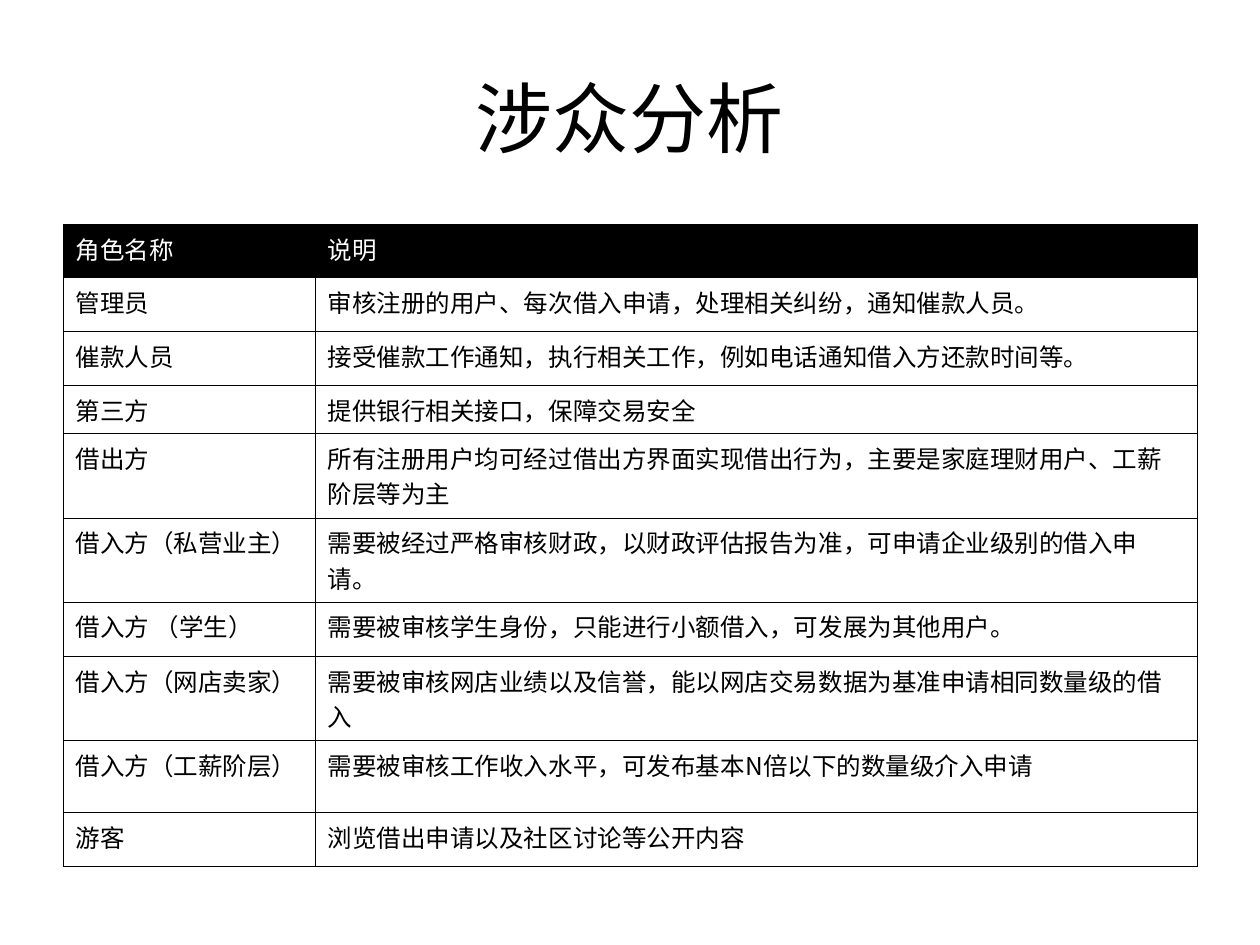
"""Build a stakeholder analysis slide with a title and a table of roles."""
from dataclasses import dataclass

from lxml.etree import SubElement
from pptx import Presentation
from pptx.dml.color import RGBColor
from pptx.enum.text import MSO_ANCHOR as Anchor, PP_ALIGN as Align
from pptx.oxml.ns import qn
from pptx.util import Inches, Pt

TITLE = "涉众分析"
HEADER = ("角色名称", "说明")
SINGLE, DOUBLE = 0.43, 0.67
ROLES = [
    ("管理员", "审核注册的用户、每次借入申请，处理相关纠纷，通知催款人员。", SINGLE),
    ("催款人员", "接受催款工作通知，执行相关工作，例如电话通知借入方还款时间等。", SINGLE),
    ("第三方", "提供银行相关接口，保障交易安全", 0.38),
    ("借出方", "所有注册用户均可经过借出方界面实现借出行为，主要是家庭理财用户、工薪阶层等为主", DOUBLE),
    ("借入方（私营业主）", "需要被经过严格审核财政，以财政评估报告为准，可申请企业级别的借入申请。", DOUBLE),
    ("借入方 （学生）", "需要被审核学生身份，只能进行小额借入，可发展为其他用户。", SINGLE),
    ("借入方（网店卖家）", "需要被审核网店业绩以及信誉，能以网店交易数据为基准申请相同数量级的借入", DOUBLE),
    ("借入方（工薪阶层）", "需要被审核工作收入水平，可发布基本N倍以下的数量级介入申请", 0.57),
    ("游客", "浏览借出申请以及社区讨论等公开内容", SINGLE),
]
HEADER_HEIGHT = 0.42
SLIDE_WIDTH, SLIDE_HEIGHT = 10, 7.5
MARGIN = SLIDE_WIDTH * 0.05
CONTENT_WIDTH = SLIDE_WIDTH - 2 * MARGIN
TITLE_TOP, TITLE_HEIGHT = SLIDE_HEIGHT * 0.04, 1.25
TABLE_TOP = 1.78
ROLE_WIDTH = SLIDE_WIDTH * 0.2


@dataclass(frozen=True)
class Theme:
    ink: str = "000000"
    paper: str = "FFFFFF"
    title_font: str = "Arial"
    body_font: str = "Noto Sans CJK SC"
    title_size: float = 44
    body_size: float = 14
    space_before: float = 3.5
    border: float = 0.23


THEME = Theme()


def write_text(frame, text, *, size=THEME.body_size, font=THEME.body_font,
               color=THEME.ink, align=Align.LEFT, before=0):
    paragraph = frame.paragraphs[0]
    paragraph.alignment = align
    paragraph.space_before = Pt(before)
    paragraph._p.get_or_add_pPr().set("hangingPunct", "0")
    run = paragraph.add_run()
    run.text = text
    run.font.size = Pt(size)
    run.font.color.rgb = RGBColor.from_string(color)
    run.font.name = font
    SubElement(run.font._element, qn("a:ea"), typeface=THEME.body_font)


def add_borders(cell):
    properties = cell._tc.get_or_add_tcPr()
    for side in ("lnL", "lnR", "lnT", "lnB"):
        line = SubElement(properties, qn(f"a:{side}"), w=str(int(Pt(THEME.border))))
        fill = SubElement(line, qn("a:solidFill"))
        SubElement(fill, qn("a:srgbClr"), val=THEME.ink)


def add_title(slide):
    box = slide.shapes.add_textbox(Inches(MARGIN), Inches(TITLE_TOP),
                                   Inches(CONTENT_WIDTH), Inches(TITLE_HEIGHT))
    box.text_frame.word_wrap = True
    box.text_frame.vertical_anchor = Anchor.MIDDLE
    write_text(box.text_frame, TITLE, size=THEME.title_size,
               font=THEME.title_font, align=Align.CENTER)


def add_role_table(slide):
    rows = [(*HEADER, HEADER_HEIGHT), *ROLES]
    total_height = sum(height for *_, height in rows)
    table = slide.shapes.add_table(len(rows), len(HEADER), Inches(MARGIN), Inches(TABLE_TOP),
                                   Inches(CONTENT_WIDTH), Inches(total_height)).table
    table.horz_banding = False
    table.columns[0].width = Inches(ROLE_WIDTH)
    table.columns[1].width = Inches(CONTENT_WIDTH - ROLE_WIDTH)
    for row_index, (*texts, height) in enumerate(rows):
        is_header = row_index == 0
        table.rows[row_index].height = Inches(height)
        for cell, text in zip(table.rows[row_index].cells, texts):
            add_borders(cell)
            if is_header:
                cell.fill.solid()
                cell.fill.fore_color.rgb = RGBColor.from_string(THEME.ink)
            else:
                cell.fill.background()
            write_text(cell.text_frame, text, before=THEME.space_before,
                       color=THEME.paper if is_header else THEME.ink)


def main():
    presentation = Presentation()
    presentation.slide_width = Inches(SLIDE_WIDTH)
    presentation.slide_height = Inches(SLIDE_HEIGHT)
    slide = presentation.slides.add_slide(presentation.slide_layouts[6])
    add_title(slide)
    add_role_table(slide)
    presentation.save("out.pptx")


if __name__ == "__main__":
    main()
